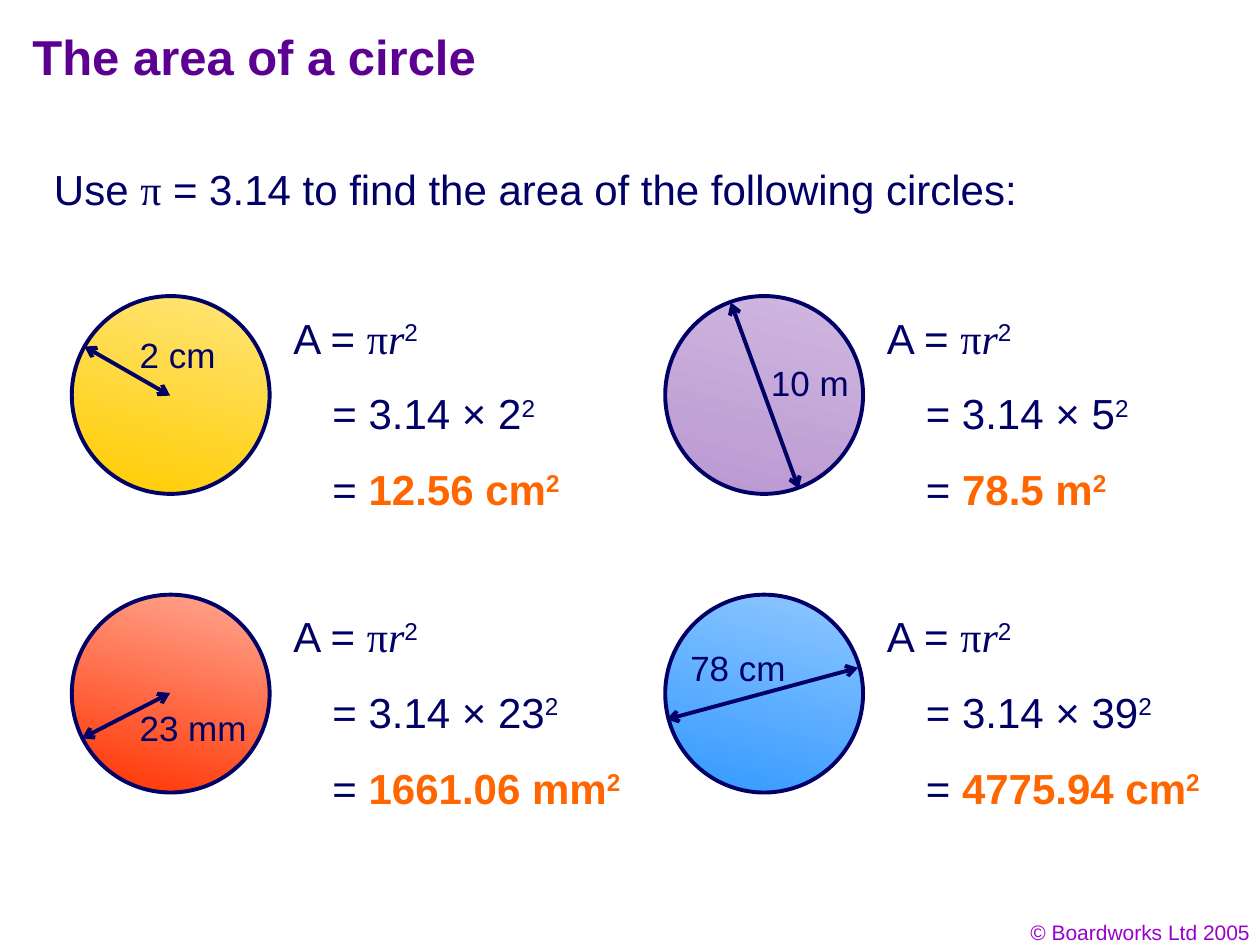
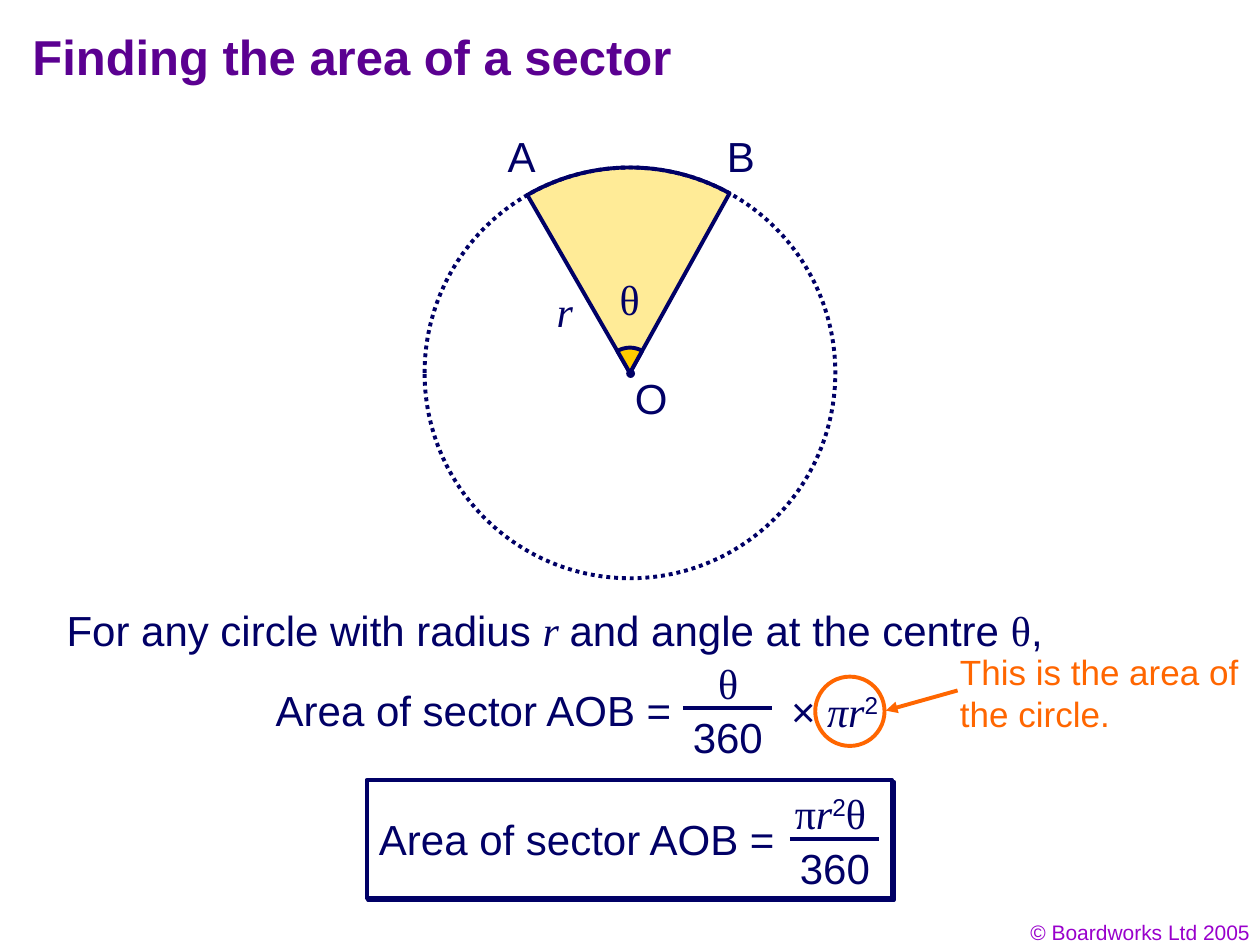
import math
from typing import NamedTuple

import pptx
import pptx.dml.color
import pptx.enum.dml
import pptx.enum.shapes
import pptx.enum.text
import pptx.oxml
import pptx.oxml.ns
import pptx.util

PX = 9144
COLORS = {
    "text": "010066", "line": "000066", "title": "5B0091", "footer": "9900CC",
    "accent": "FF6600", "sector": "FFEB97", "angle": "FFCC00", "white": "FFFFFF",
    "yellow_top": "FFE579", "yellow_base": "FFCC00",
    "violet_top": "D0B8E0", "violet_base": "BA97D1",
    "red_top": "FFA893", "red_base": "FF3300",
    "blue_top": "8FC7FF", "blue_base": "3399FF",
}
FACES = {
    "plain": {"name": "Arial"},
    "bold": {"name": "Arial", "bold": True},
    "greek": {"name": "Times New Roman"},
    "variable": {"name": "Times New Roman", "italic": True},
}
LINE_WIDTH = 2.25
LINE_HEIGHT = 50
COLUMN_STEP, ROW_STEP = 471, 237
CIRCLE_LEFT, CIRCLE_TOP, CIRCLE_SIZE = 57, 235, 157
SECTOR_CENTER, SECTOR_RADIUS, ANGLE_RADIUS = (500, 296), 163, 20
ANGLE_TO_A, ANGLE_TO_B = -30, 29
OVAL = pptx.enum.shapes.MSO_SHAPE.OVAL


class Run(NamedTuple):
    text: str
    face: str = "plain"
    color: str = "text"
    raised: bool = False


class Label(NamedTuple):
    left: int
    top: int
    width: int
    runs: list[Run]
    height: int = LINE_HEIGHT
    size: int = 24
    align: str = "LEFT"


class CircleProblem(NamedTuple):
    column: int
    row: int
    gradient: str
    arrow: tuple[int, int, int, int]
    measure: str
    measure_box: tuple[int, int, int]
    radius: str
    working_width: int
    answer: str
    answer_width: int


SQUARED = Run("2", raised=True)
PI = Run("π", "greek")
THETA = Run("θ", "greek")
RADIUS = Run("r", "variable")
AREA_OF_SECTOR = [Run("Area of sector AOB =")]

PROBLEMS = [
    CircleProblem(0, 0, "yellow", (10, 40, 78, 79), "2 cm", (44, 25, 85),
                  "2", 187, "12.56 cm", 206),
    CircleProblem(1, 0, "violet", (52, 5, 106, 153), "10 m", (74, 47, 87),
                  "5", 187, "78.5 m", 169),
    CircleProblem(0, 1, "red", (78, 78, 8, 114), "23 mm", (44, 84, 110),
                  "23", 205, "1661.06 mm", 254),
    CircleProblem(1, 1, "blue", (1, 99, 153, 58), "78 cm", (10, 36, 101),
                  "39", 205, "4775.94 cm", 243),
]


def rgb(color: str) -> pptx.dml.color.RGBColor:
    return pptx.dml.color.RGBColor.from_string(COLORS[color])


def apply(target, values: dict) -> None:
    for name, value in values.items():
        setattr(target, name, value)


def add_label(slide, label: Label) -> None:
    box = slide.shapes.add_textbox(
        *(length * PX for length in (label.left, label.top, label.width, label.height)))
    apply(box.text_frame, {
        "word_wrap": True,
        "auto_size": pptx.enum.text.MSO_AUTO_SIZE.NONE,
        "vertical_anchor": pptx.enum.text.MSO_ANCHOR.TOP,
    })
    paragraph = box.text_frame.paragraphs[0]
    paragraph.alignment = pptx.enum.text.PP_ALIGN[label.align]
    for part in label.runs:
        run = paragraph.add_run()
        run.text = part.text
        apply(run.font, FACES[part.face] | {"size": pptx.util.Pt(label.size)})
        run.font.color.rgb = rgb(part.color)
        if part.raised:
            run.font._element.set("baseline", "30000")


def set_outline(shape, color: str | None) -> None:
    if color is None:
        shape.line.fill.background()
        return
    shape.line.color.rgb = rgb(color)
    shape.line.width = pptx.util.Pt(LINE_WIDTH)


def set_style(shape, fill: str | None, line: str | None) -> None:
    shape.shadow.inherit = False
    if fill:
        shape.fill.solid()
        shape.fill.fore_color.rgb = rgb(fill)
    else:
        shape.fill.background()
    set_outline(shape, line)


def add_preset(slide, kind, left: int, top: int, width: int, height: int,
               fill: str | None = None, line: str | None = "line"):
    shape = slide.shapes.add_shape(kind, left * PX, top * PX, width * PX, height * PX)
    set_style(shape, fill, line)
    return shape


def add_line(slide, start: tuple[int, int], end: tuple[int, int],
             color: str = "line", head: str = "", tail: str = "") -> None:
    connector = slide.shapes.add_connector(
        pptx.enum.shapes.MSO_CONNECTOR.STRAIGHT,
        *(length * PX for length in (*start, *end)))
    set_outline(connector, color)
    outline = connector.line._get_or_add_ln()
    for tag, arrow in (("a:headEnd", head), ("a:tailEnd", tail)):
        if arrow:
            end_mark = pptx.oxml.parse_xml(
                f'<{tag} {pptx.oxml.ns.nsdecls("a")} type="{arrow}"/>')
            outline.append(end_mark)
    connector._element.spPr.append(
        pptx.oxml.parse_xml(f'<a:effectLst {pptx.oxml.ns.nsdecls("a")}/>'))


def add_sector(slide, radius: int, fill: str) -> None:
    center_x, center_y = (length * PX for length in SECTOR_CENTER)
    arc = []
    for degrees in range(ANGLE_TO_A, ANGLE_TO_B + 1):
        angle = math.radians(degrees)
        arc.append((round(center_x + radius * PX * math.sin(angle)),
                    round(center_y - radius * PX * math.cos(angle))))
    builder = slide.shapes.build_freeform(center_x, center_y)
    builder.add_line_segments(arc, close=True)
    set_style(builder.convert_to_shape(), fill, "line")


def add_hard_shadow(shape) -> None:
    effects = shape._element.spPr.find(pptx.oxml.ns.qn("a:effectLst"))
    effects.append(pptx.oxml.parse_xml(
        f'<a:outerShdw {pptx.oxml.ns.nsdecls("a")} dist="17961" dir="2700000" '
        f'algn="ctr" rotWithShape="0"><a:srgbClr val="{COLORS["line"]}"/></a:outerShdw>'))


def start_slide(presentation, title: str):
    slide = presentation.slides.add_slide(presentation.slide_layouts[6])
    add_label(slide, Label(769, 725, 233, [Run("© Boardworks Ltd 2005", color="footer")],
                           height=30, size=12, align="RIGHT"))
    add_label(slide, Label(16, 16, 854, [Run(title, "bold", "title")],
                           height=69, size=28))
    return slide


def add_problem(slide, problem: CircleProblem) -> None:
    left = CIRCLE_LEFT + problem.column * COLUMN_STEP
    top = CIRCLE_TOP + problem.row * ROW_STEP
    circle = add_preset(slide, OVAL, left, top, CIRCLE_SIZE, CIRCLE_SIZE)
    circle.fill.gradient()
    circle.fill.gradient_angle = 255
    for stop, position, end in zip(circle.fill.gradient_stops, (0, 1), ("top", "base")):
        stop.color.rgb = rgb(f"{problem.gradient}_{end}")
        stop.position = position

    start_x, start_y, end_x, end_y = problem.arrow
    add_line(slide, (left + start_x, top + start_y), (left + end_x, top + end_y),
             head="arrow", tail="arrow")
    measure_x, measure_y, measure_width = problem.measure_box
    add_label(slide, Label(left + measure_x, top + measure_y, measure_width,
                           [Run(problem.measure)], height=44, size=20))

    answer = [Run("= "), Run(problem.answer, "bold", "accent"),
              Run("2", "bold", "accent", raised=True)]
    steps = [
        (166, 127, [Run("A = "), PI, RADIUS, SQUARED]),
        (197, problem.working_width, [Run(f"= 3.14 × {problem.radius}"), SQUARED]),
        (197, problem.answer_width, answer),
    ]
    for index, (indent, width, runs) in enumerate(steps):
        add_label(slide, Label(left + indent, top + 8 + 60 * index, width, runs))


def build_circle_slide(presentation) -> None:
    slide = start_slide(presentation, "The area of a circle")
    add_label(slide, Label(33, 125, 794, [
        Run("Use "), PI, Run(" = 3.14 to find the area of the following circles:")]))
    for problem in PROBLEMS:
        add_problem(slide, problem)


def add_sector_diagram(slide) -> None:
    center_x, center_y = SECTOR_CENTER
    add_sector(slide, SECTOR_RADIUS, "sector")
    outline = add_preset(slide, OVAL, center_x - SECTOR_RADIUS, center_y - SECTOR_RADIUS,
                         2 * SECTOR_RADIUS, 2 * SECTOR_RADIUS)
    outline.line.dash_style = pptx.enum.dml.MSO_LINE.ROUND_DOT
    add_preset(slide, OVAL, center_x - 3, center_y - 3, 7, 7, fill="line", line=None)
    add_sector(slide, ANGLE_RADIUS, "angle")
    for label in (
        Label(393, 99, 48, [Run("A")]),
        Label(567, 99, 48, [Run("B")]),
        Label(432, 222, 39, [RADIUS]),
        Label(482, 212, 42, [THETA]),
        Label(494, 291, 52, [Run("O")]),
    ):
        add_label(slide, label)


def add_fraction(slide, bar_left: int, bar_top: int, numerator: Label) -> None:
    add_label(slide, numerator)
    add_line(slide, (bar_left, bar_top), (bar_left + 71, bar_top))
    add_label(slide, Label(bar_left - 2, bar_top - 2, 83, [Run("360")]))


def build_sector_slide(presentation) -> None:
    slide = start_slide(presentation, "Finding the area of a sector")
    add_sector_diagram(slide)
    add_label(slide, Label(43, 475, 843, [
        Run("For any circle with radius "), Run("r ", "variable"),
        Run("and angle at the centre "), THETA, Run(",")]))

    add_label(slide, Label(209, 538, 344, AREA_OF_SECTOR))
    add_fraction(slide, 542, 562, Label(560, 517, 42, [THETA]))
    add_label(slide, Label(618, 539, 97, [Run("× "), Run("πr", "variable"), SQUARED]))
    add_preset(slide, OVAL, 647, 537, 55, 55, line="accent")
    add_label(slide, Label(752, 511, 242, [
        Run("This is the area of the circle.", color="accent")], height=77, size=20))
    add_line(slide, (760, 548), (703, 564), "accent", tail="triangle")

    frame = add_preset(slide, pptx.enum.shapes.MSO_SHAPE.RECTANGLE,
                       291, 619, 417, 94, fill="white")
    add_hard_shadow(frame)
    add_label(slide, Label(291, 641, 344, AREA_OF_SECTOR))
    add_fraction(slide, 627, 666, Label(621, 620, 84, [PI, RADIUS, SQUARED, THETA]))


def main() -> None:
    presentation = pptx.Presentation()
    apply(presentation, {"slide_width": 1000 * PX, "slide_height": 750 * PX})
    build_circle_slide(presentation)
    build_sector_slide(presentation)
    presentation.save("out.pptx")


if __name__ == "__main__":
    main()
